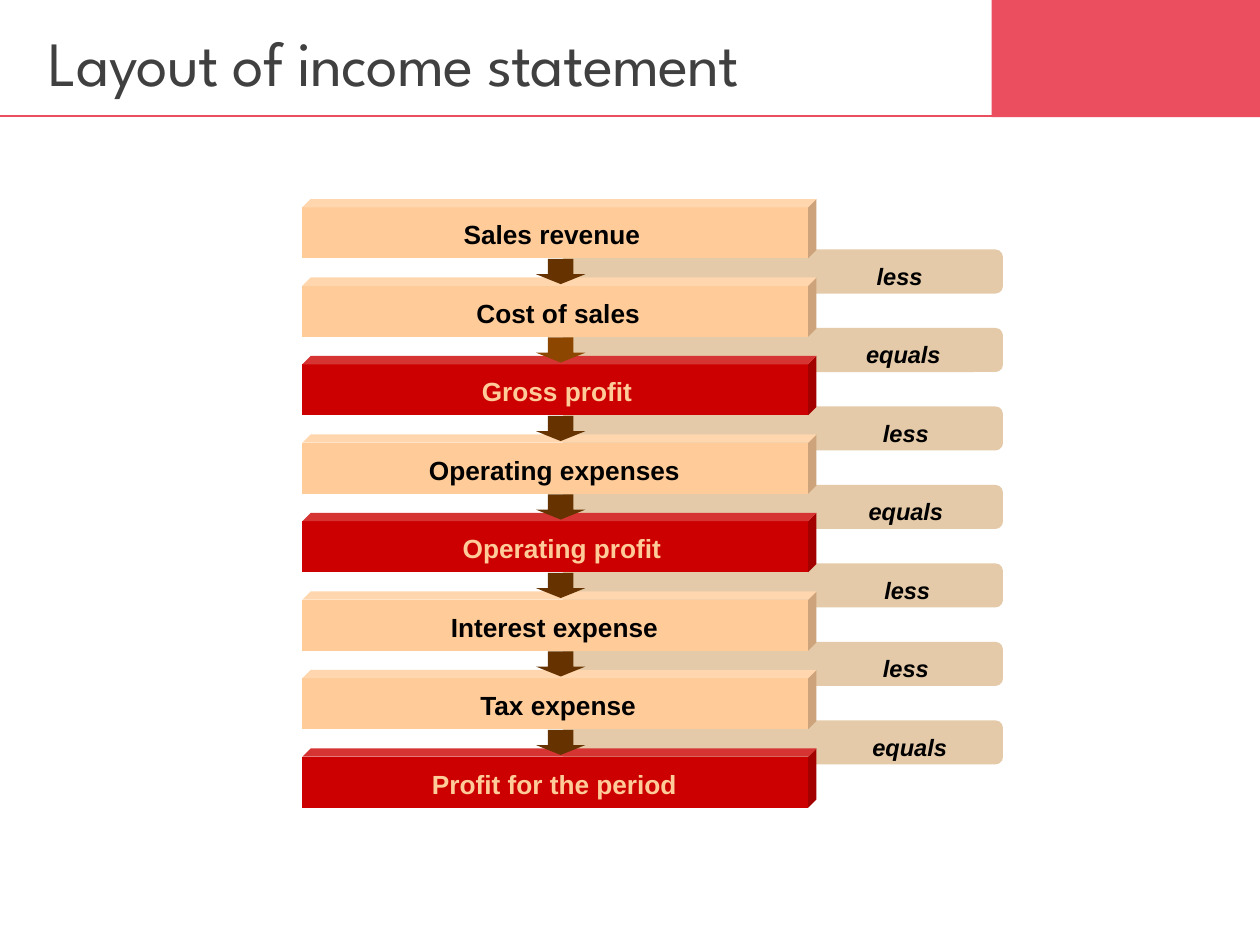
from pptx import Presentation
from pptx.dml.color import RGBColor
from pptx.enum.shapes import MSO_CONNECTOR, MSO_SHAPE
from pptx.enum.text import MSO_ANCHOR, PP_ALIGN
from pptx.util import Inches, Pt
from lxml import etree

RECT, ROUND = MSO_SHAPE.RECTANGLE, MSO_SHAPE.ROUNDED_RECTANGLE
CUBE, ARROW = MSO_SHAPE.CUBE, MSO_SHAPE.RIGHT_ARROW
LEFT, CENTER = PP_ALIGN.LEFT, PP_ALIGN.CENTER
MIDDLE = MSO_ANCHOR.MIDDLE
STRAIGHT = MSO_CONNECTOR.STRAIGHT

# Content: line of the statement, is it a total, centre of its text
TITLE = "Layout of income statement"
BARS = [
    ("Sales revenue", False, 4.38),
    ("Cost of sales", False, 4.43),
    ("Gross profit", True, 4.42),
    ("Operating expenses", False, 4.4),
    ("Operating profit", True, 4.46),
    ("Interest expense", False, 4.4),
    ("Tax expense", False, 4.43),
    ("Profit for the period", True, 4.4),
]
# Step from each bar to the next, centre of its text
STEPS = [("less", 7.14), ("equals", 7.17), ("less", 7.19), ("equals", 7.19),
         ("less", 7.2), ("less", 7.19), ("equals", 7.22)]

PINK, SAND, PEACH, RED = "EA4E5F", "E4CAA8", "FFCC99", "CC0000"
BROWN, RUST, BLACK, GREY = "663300", "8C4600", "000000", "404040"

# Grid
WIDE, HIGH = 10, 7.5
HEAD = 0.92
TOP, LAST = 1.58, 5.94
PITCH = (LAST - TOP) / (len(BARS) - 1)
BAR_X, BAR_W, BAR_H = 2.4, 4.08, 0.47
TAG_X, TAG_W, TAG_H = 4.47, 3.49, 0.35
ARROW_X, ARROW_W, ARROW_H = 4.45, 0.2, 0.39

deck = Presentation()
deck.slide_width, deck.slide_height = Inches(WIDE), Inches(HIGH)
slide = deck.slides.add_slide(deck.slide_layouts[6])


def color(code):
    return RGBColor.from_string(code)


def shape(kind, x, y, w, h, fill, adj=(), turn=0):
    item = slide.shapes.add_shape(kind, Inches(x), Inches(y), Inches(w), Inches(h))
    item.shadow.inherit = False
    item.fill.solid()
    item.fill.fore_color.rgb = color(fill)
    item.line.fill.background()
    for i, value in enumerate(adj):
        item.adjustments[i] = value
    item.rotation = turn


def text(words, x, y, w, h, size, ink, font="Arial", bold=False, slant=False,
         align=CENTER, lines=None, track=None):
    frame = slide.shapes.add_textbox(Inches(x), Inches(y), Inches(w), Inches(h)).text_frame
    frame.word_wrap = True
    frame.vertical_anchor = MIDDLE
    para = frame.paragraphs[0]
    para.alignment = align
    para.line_spacing = lines
    run = para.add_run()
    run.text = words
    run.font.name, run.font.size = font, Pt(size)
    run.font.bold, run.font.italic = bold, slant
    run.font.color.rgb = color(ink)
    if track:
        run.font._element.set("spc", str(int(track * 100)))


# Header
rule = slide.shapes.add_connector(STRAIGHT, 0, Inches(HEAD), Inches(WIDE), Inches(HEAD))
rule.line.color.rgb = color(PINK)
rule.line.width = Pt(1)
etree.SubElement(rule._element.spPr,
                 "{http://schemas.openxmlformats.org/drawingml/2006/main}effectLst")
shape(RECT, 7.87, 0, WIDE - 7.87, 0.93, PINK)

# Step tags, behind the bars
for i, (word, mid) in enumerate(STEPS):
    y = TOP + 0.4 + i * PITCH
    shape(ROUND, TAG_X, y, TAG_W, TAG_H, SAND, [0.17])
    text(word, mid - 0.98, y + 0.03, 1.96, 0.36, 13.5, BLACK, bold=True, slant=True)

# Bars
for i, (word, total, mid) in enumerate(BARS):
    y = TOP + i * PITCH
    shape(CUBE, BAR_X, y, BAR_W, BAR_H, RED if total else PEACH, [0.14])
    text(word, mid - 2, y + 0.09, 4, 0.38, 15, PEACH if total else BLACK, bold=True)

# Arrows, turned to point down
for i in range(len(STEPS)):
    y = TOP + 0.38 + i * PITCH
    shape(ARROW, ARROW_X - ARROW_W / 2, y, ARROW_W, ARROW_H,
          RUST if i == 1 else BROWN, [0.52, 0.39], 90)

# Title
text(TITLE, 0.29, 0.24, 8.25, 0.59, 36, GREY, font="League Spartan",
     align=LEFT, lines=0.85, track=-0.5)

deck.save("out.pptx")
